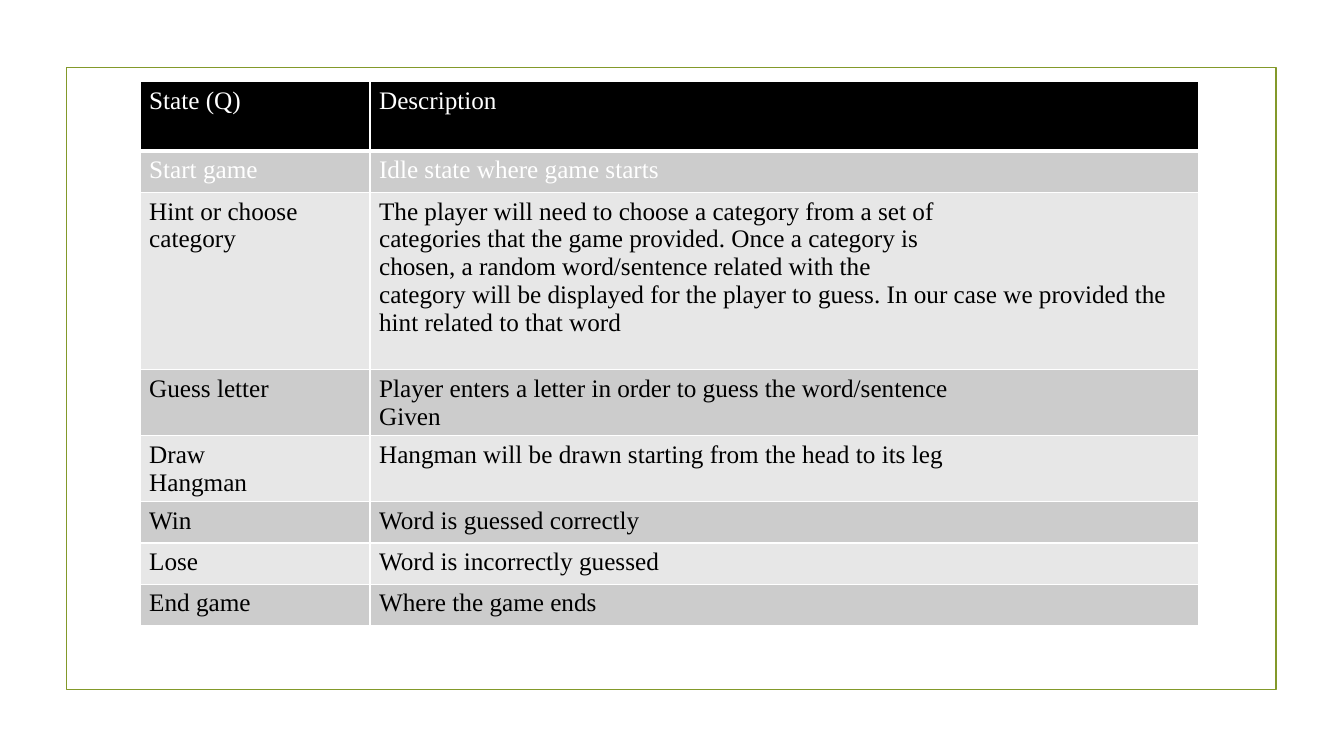
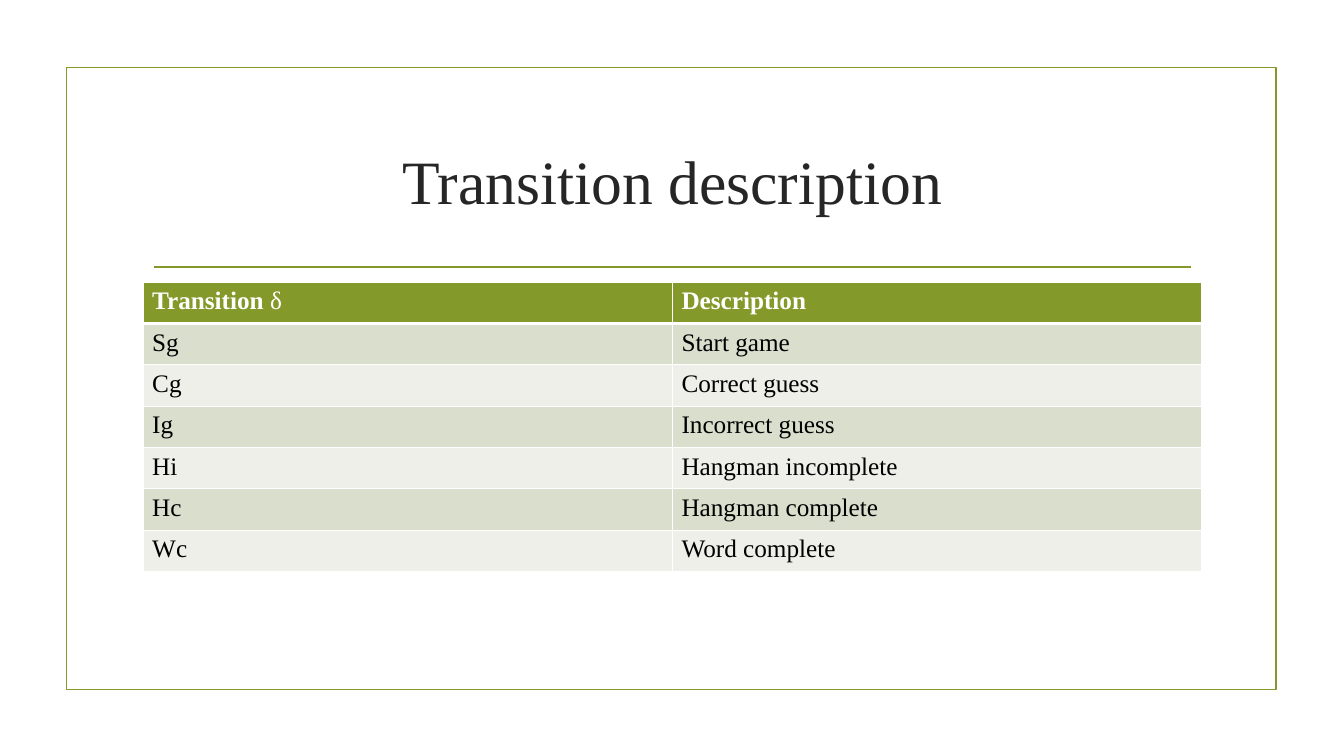
"""Build two slides that describe the states and transitions of a word game."""
from dataclasses import dataclass

from lxml.etree import SubElement
from pptx import Presentation
from pptx.dml.color import RGBColor as Rgb
from pptx.enum.shapes import MSO_CONNECTOR as Link, MSO_SHAPE as Shape
from pptx.enum.text import MSO_ANCHOR as Anchor, PP_ALIGN as Align
from pptx.oxml import parse_xml
from pptx.oxml.ns import nsdecls, qn
from pptx.util import Inches, Pt

FONT = "Times New Roman"
GREEN = "83992A"
WHITE = "FFFFFF"
BLACK = "000000"
INK = "262626"
ROW = 0.41


@dataclass
class Grid:
    left: float
    top: float
    cols: list[float]
    rows: list[float]
    cells: list[tuple[str, str]]
    fills: tuple[str, str, str]
    bold: bool
    light: int


STATES = Grid(
    left=1.39, top=0.81, cols=[2.28, 8.22],
    rows=[0.69, ROW, 1.76, 0.65, 0.65, ROW, ROW, ROW],
    cells=[
        ("State (Q)", "Description"),
        ("Start game", "Idle state where game starts"),
        ("Hint or choose category",
         "The player will need to choose a category from a set of\n"
         "categories that the game provided. Once a category is\n"
         "chosen, a random word/sentence related with the\n"
         "category will be displayed for the player to guess. "
         "In our case we provided the hint related to that word"),
        ("Guess letter",
         "Player enters a letter in order to guess the word/sentence\nGiven"),
        ("Draw\nHangman",
         "Hangman will be drawn starting from the head to its leg"),
        ("Win", "Word is guessed correctly"),
        ("Lose", "Word is incorrectly guessed"),
        ("End game", "Where the game ends"),
    ],
    fills=(BLACK, "CCCCCC", "E7E7E7"), bold=False, light=2)

MOVES = Grid(
    left=1.42, top=2.8, cols=[5.25] * 2, rows=[ROW] * 7,
    cells=[
        ("Transition ", "Description"),
        ("Sg", "Start game"),
        ("Cg", "Correct guess"),
        ("Ig", "Incorrect guess"),
        ("Hi", "Hangman incomplete"),
        ("Hc", "Hangman complete"),
        ("Wc", "Word complete"),
    ],
    fills=(GREEN, "D9DECD", "EDEFE8"), bold=True, light=1)


def paint(part, tone: str) -> None:
    part.solid()
    part.fore_color.rgb = Rgb.from_string(tone)


def write(para, text: str, *, size: float = 18, tone: str = BLACK,
          bold: bool = False) -> None:
    run = para.add_run()
    run.text = text
    font = run.font
    font.name, font.size, font.bold = FONT, Pt(size), bold
    font.color.rgb = Rgb.from_string(tone)


def edge(cell, row: int) -> None:
    props = cell._tc.get_or_add_tcPr()
    wide = {"T": 3 if row == 1 else 1, "B": 3 if row == 0 else 1}
    for spot, side in enumerate("LRTB"):
        props.insert(spot, parse_xml(
            f'<a:ln{side} {nsdecls("a")} w="{Pt(wide.get(side, 1))}">'
            f'<a:solidFill><a:srgbClr val="{WHITE}"/></a:solidFill>'
            f'</a:ln{side}>'))


def draw_grid(slide, grid: Grid):
    table = slide.shapes.add_table(
        len(grid.rows), len(grid.cols), Inches(grid.left), Inches(grid.top),
        Inches(sum(grid.cols)), Inches(sum(grid.rows))).table
    for col, width in zip(table.columns, grid.cols):
        col.width = Inches(width)
    for row, (height, texts) in enumerate(zip(grid.rows, grid.cells)):
        table.rows[row].height = Inches(height)
        fill = grid.fills[0] if row == 0 else grid.fills[2 - row % 2]
        for col, text in enumerate(texts):
            cell = table.cell(row, col)
            cell.margin_left = cell.margin_right = Inches(0.09)
            paint(cell.fill, fill)
            edge(cell, row)
            frame = cell.text_frame
            for spot, line in enumerate(text.split("\n")):
                para = frame.add_paragraph() if spot else frame.paragraphs[0]
                write(para, line, tone=WHITE if row < grid.light else BLACK,
                      bold=grid.bold and row == 0)
    return table


def stroke(line) -> None:
    paint(line.fill, GREEN)
    line.width = Pt(1.25)


def add_slide(deck):
    slide = deck.slides.add_slide(deck.slide_layouts[6])
    paint(slide.background.fill, WHITE)
    border = slide.shapes.add_shape(
        Shape.RECTANGLE, Inches(0.66), Inches(0.67), Inches(12), Inches(6.17))
    border.shadow.inherit = False
    border.fill.background()
    stroke(border.line)
    return slide


def add_title(slide, text: str) -> None:
    rule = slide.shapes.add_connector(
        Link.STRAIGHT, Inches(1.53), Inches(2.65), Inches(11.81), Inches(2.65))
    stroke(rule.line)
    SubElement(rule._element.spPr, qn("a:effectLst"))
    box = slide.shapes.add_textbox(
        Inches(1.42), Inches(1.07), Inches(10.5), Inches(1.43))
    frame = box.text_frame
    frame.word_wrap = True
    frame.vertical_anchor = Anchor.MIDDLE
    para = frame.paragraphs[0]
    para.alignment = Align.CENTER
    write(para, text, size=44, tone=INK)


def main() -> None:
    deck = Presentation()
    deck.slide_width, deck.slide_height = Inches(13.33), Inches(7.5)
    draw_grid(add_slide(deck), STATES)
    slide = add_slide(deck)
    add_title(slide, "Transition description")
    table = draw_grid(slide, MOVES)
    write(table.cell(0, 0).text_frame.paragraphs[0], "δ", tone=WHITE)
    deck.save("out.pptx")


if __name__ == "__main__":
    main()
